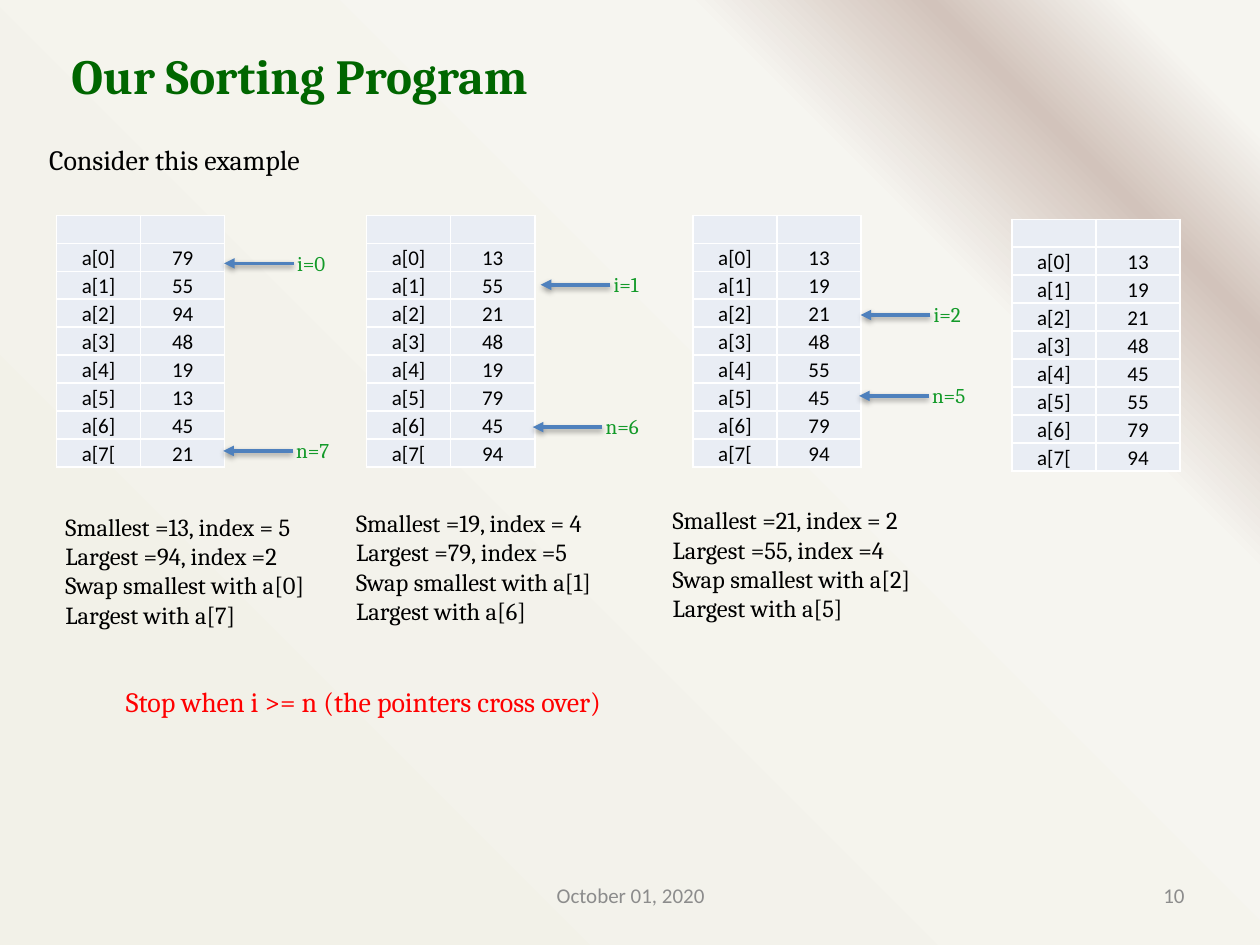
from dataclasses import dataclass

from lxml import etree
from pptx import Presentation
from pptx import util as u
from pptx.dml.color import RGBColor
from pptx.enum import shapes, text
from pptx.oxml import parse_xml
from pptx.oxml.ns import nsdecls, qn

LEFT, CENTER, RIGHT = (text.PP_ALIGN.LEFT, text.PP_ALIGN.CENTER,
                       text.PP_ALIGN.RIGHT)


@dataclass(frozen=True)
class Theme:
    # Typefaces and sizes
    serif: str = "Cambria"
    sans: str = "Calibri"
    title: int = 28
    body: int = 16
    note: int = 14
    small: int = 12
    # Colours
    heading: str = "006600"
    ink: str = "000000"
    label: str = "139A29"
    warning: str = "FF0000"
    footer: str = "8C8C8C"
    arrow: str = "4F81BD"
    cell: str = "E9EDF4"
    border: str = "FFFFFF"
    # Background gradient: percent, colour
    backdrop: tuple = ((6, "F6F5F0"), (15, "D2C3BB"),
                       (26, "F6F5F0"), (89, "F2F1E8"))


class Deck:
    """Holds the theme and the current slide."""

    def __init__(self, prs, theme):
        self.theme = theme
        self.slide = prs.slides.add_slide(prs.slide_layouts[6])

    def background(self):
        fill = self.slide.background.fill
        fill.gradient()
        fill.gradient_angle = 225  # counter-clockwise: top right to bottom left
        stops = self.slide.element.find(".//" + qn("a:gsLst"))
        for gs in list(stops):
            stops.remove(gs)
        for percent, color in self.theme.backdrop:
            gs = etree.SubElement(stops, qn("a:gs"), pos=str(percent * 1000))
            etree.SubElement(gs, qn("a:srgbClr"), val=color)

    def style(self, p, size, color, font, align=LEFT, bold=False):
        p.alignment = align
        p.font.name, p.font.size, p.font.bold = font, u.Pt(size), bold
        p.font.color.rgb = RGBColor.from_string(color)

    def text(self, box, lines, size, color, font=None, align=LEFT, bold=False,
             middle=False, grow=False, wrap=True, parent=None):
        sp = (parent or self.slide).shapes.add_textbox(*map(u.Cm, box))
        tf = sp.text_frame
        tf.word_wrap = wrap
        if middle:
            tf.vertical_anchor = text.MSO_ANCHOR.MIDDLE
        if grow:
            tf.auto_size = text.MSO_AUTO_SIZE.SHAPE_TO_FIT_TEXT
        tf.text = "\n".join(lines)
        for p in tf.paragraphs:
            self.style(p, size, color, font or self.theme.serif, align, bold)

    def array_table(self, x, y, values, width=3.39, height=5.08):
        t = self.theme
        # The closing bracket of the last index is typed as "["
        names = [f"a[{i}]" for i in range(len(values) - 1)]
        names.append(f"a[{len(values) - 1}[")
        rows = [("", ""), *zip(names, map(str, values))]
        table = self.slide.shapes.add_table(
            len(rows), 2, *map(u.Cm, (x, y, width, height))).table
        table.first_row = table.horz_banding = False
        for col in table.columns:
            col.width = u.Cm(width / 2)
        for r, row in enumerate(rows):
            table.rows[r].height = u.Cm(height / len(rows))
            for c, value in enumerate(row):
                self.cell(table.cell(r, c), value, t)

    def cell(self, cell, value, t):
        cell.margin_left = cell.margin_right = cell.margin_top = u.Cm(0.02)
        cell.margin_bottom = 0
        cell.vertical_anchor = text.MSO_ANCHOR.BOTTOM
        cell.text = value
        p = cell.text_frame.paragraphs[0]
        self.style(p, t.small, t.ink, t.sans, CENTER)
        if not value:  # keeps the empty header row low
            etree.SubElement(p._p, qn("a:endParaRPr"), sz=str(t.small * 100))
        for side in ("lnL", "lnR", "lnT", "lnB"):
            cell._tc.get_or_add_tcPr().append(parse_xml(
                f'<a:{side} {nsdecls("a")} w="12700"><a:solidFill>'
                f'<a:srgbClr val="{t.border}"/></a:solidFill></a:{side}>'))
        cell.fill.solid()
        cell.fill.fore_color.rgb = RGBColor.from_string(t.cell)

    def pointer(self, x, y, label, length=1.4):
        """Arrow with its tip at x, y and a label at its tail."""
        t = self.theme
        group = self.slide.shapes.add_group_shape()
        line = group.shapes.add_connector(
            shapes.MSO_CONNECTOR.STRAIGHT,
            *map(u.Cm, (x + length, y, x, y)))
        line.line.width = u.Pt(2)
        line.line.color.rgb = RGBColor.from_string(t.arrow)
        etree.SubElement(line.line._get_or_add_ln(), qn("a:tailEnd"),
                         type="triangle")
        line._element.spPr.append(parse_xml(
            f'<a:effectLst {nsdecls("a")}><a:outerShdw blurRad="40000" '
            'dist="20000" dir="5400000" rotWithShape="0">'
            '<a:srgbClr val="000000"><a:alpha val="38000"/></a:srgbClr>'
            '</a:outerShdw></a:effectLst>'))
        # Slightly wider than the text, so that the label stays on one line
        width = 1.15 if label.startswith("i") else 1.25
        self.text((x + length - 0.18, y - 0.39, width, 0.76), [label],
                  t.small, t.label, wrap=False, parent=group)

    def note(self, x, y, smallest, largest, first, last):
        """Smallest and largest are (value, index) pairs."""
        lines = ["Smallest ={}, index = {}".format(*smallest),
                 "Largest ={}, index ={}".format(*largest),
                 f"Swap smallest with a[{first}]",
                 f"Largest with a[{last}]"]
        self.text((x, y, 5.92, 2.64), lines, self.theme.note, self.theme.ink,
                  grow=True)


def main():
    prs = Presentation()
    prs.slide_width, prs.slide_height = u.Cm(25.4), u.Cm(19.05)
    t = Theme()
    deck = Deck(prs, t)
    deck.background()

    # Footer
    deck.text((18.21, 17.53, 5.92, 1.02), ["10"], t.small, t.footer, t.sans,
              RIGHT, middle=True)
    deck.text((8.69, 17.53, 8.05, 1.02), ["October 01, 2020"], t.small,
              t.footer, t.sans, CENTER, middle=True)

    # Title and introduction
    deck.text((1.19, 0.79, 22.94, 2.11), ["Our Sorting Program"], t.title,
              t.heading, bold=True)
    deck.text((0.74, 2.74, 23.27, 1.47), ["Consider this example"], t.body,
              t.ink)

    # Array after each pass
    for x, y, values in (
            (1.14, 4.34, (79, 55, 94, 48, 19, 13, 45, 21)),
            (7.39, 4.34, (13, 55, 21, 48, 19, 79, 45, 94)),
            (13.97, 4.34, (13, 19, 21, 48, 55, 45, 79, 94)),
            (20.4, 4.42, (13, 19, 21, 48, 45, 55, 79, 94))):
        deck.array_table(x, y, values)

    # Index pointers
    for x, y, label in (
            (4.52, 5.31, "i=0"), (4.5, 9.09, "n=7"),
            (10.9, 5.74, "i=1"), (10.74, 8.61, "n=6"),
            (17.35, 6.35, "i=2"), (17.32, 7.98, "n=5")):
        deck.pointer(x, y, label)

    # Swap made in each pass
    deck.note(1.07, 10.19, (13, 5), (94, 2), 0, 7)
    deck.note(6.93, 10.11, (19, 4), (79, 5), 1, 6)
    deck.note(13.31, 10.06, (21, 2), (55, 4), 2, 5)

    # Stop condition
    deck.text((2.29, 13.67, 18.47, 0.94),
              ["Stop when i >= n (the pointers cross over)"], t.body,
              t.warning, grow=True)

    prs.save("out.pptx")


if __name__ == "__main__":
    main()
